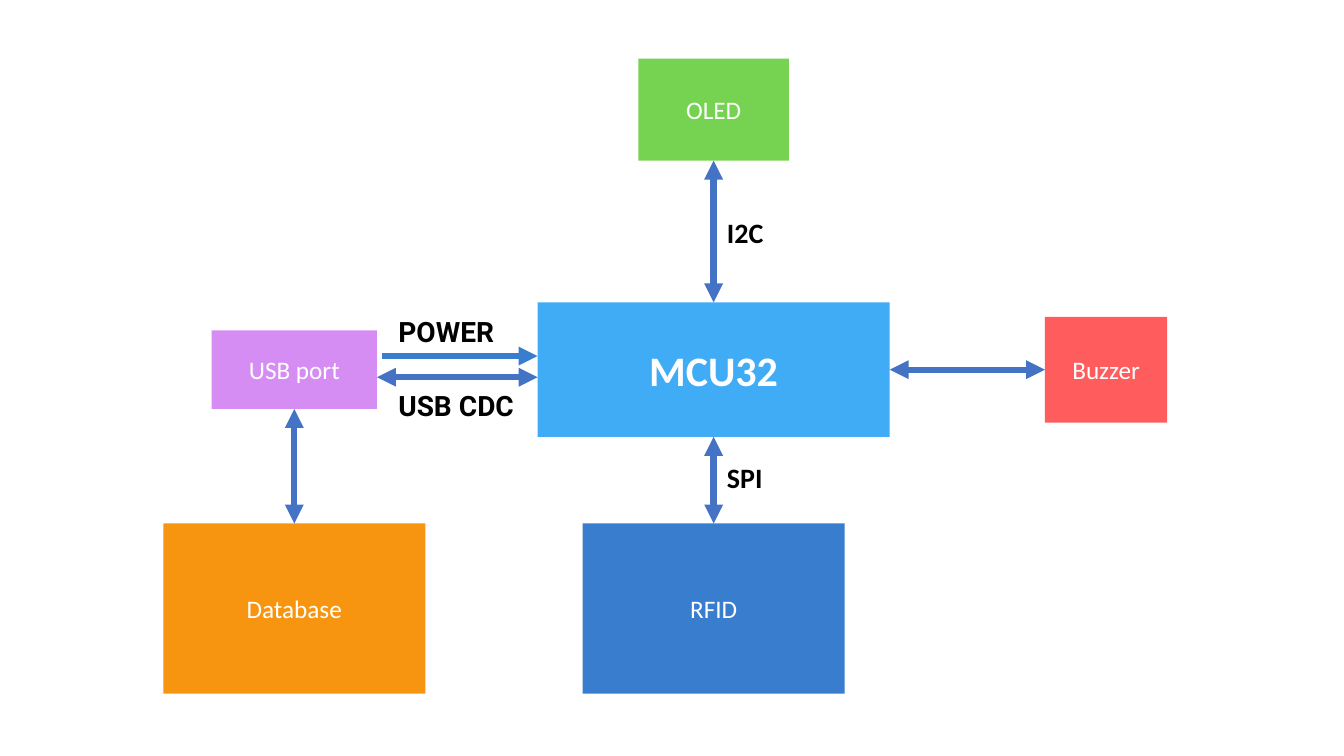
"""Draw a block diagram of a microcontroller and its peripherals."""
from dataclasses import dataclass

from lxml import etree
from pptx import Presentation
from pptx.dml.color import RGBColor
from pptx.enum.shapes import MSO_CONNECTOR, MSO_SHAPE
from pptx.enum.text import MSO_ANCHOR, MSO_AUTO_SIZE, PP_ALIGN
from pptx.oxml.ns import qn
from pptx.shapes.autoshape import Shape
from pptx.shapes.connector import Connector
from pptx.slide import Slide
from pptx.text.text import TextFrame
from pptx.util import Inches, Pt

RECTANGLE = MSO_SHAPE.RECTANGLE
STRAIGHT = MSO_CONNECTOR.STRAIGHT
MIDDLE = MSO_ANCHOR.MIDDLE
GROW = MSO_AUTO_SIZE.SHAPE_TO_FIT_TEXT
CENTER, LEFT_ALIGN = PP_ALIGN.CENTER, PP_ALIGN.LEFT
TOP, LEFT, BOTTOM, RIGHT = range(4)

SLIDE_WIDTH, SLIDE_HEIGHT = Inches(13.33), Inches(7.5)


@dataclass(frozen=True)
class Theme:
    """Colours, fonts and type sizes of the diagram."""

    controller: str = "40ACF6"
    port: str = "D68DF3"
    storage: str = "F89510"
    display: str = "76D351"
    reader: str = "397DCF"
    alarm: str = "FF5D5D"
    link: str = "4472C4"
    power: str = "397DCF"
    block_text: str = "FFFFFF"
    label_text: str = "000000"
    main_font: str = "Calibri"
    usb_font: str = "Roboto"
    title_size: float = 30
    block_size: float = 18
    label_size: float = 20
    link_width: float = 4.5


@dataclass(frozen=True)
class Block:
    """A box centred on a column and row, in percent of the slide."""

    text: str
    column: float
    row: float
    width: float
    height: float
    fill: str
    size: float
    bold: bool = False


@dataclass(frozen=True)
class Joint:
    """A two-way link between the side middles of two blocks."""

    start: str
    start_side: int
    end: str
    end_side: int


@dataclass(frozen=True)
class Lane:
    """A level arrow that meets the blocks off their side middles."""

    left: float
    right: float
    row: float
    color: str
    two_way: bool


@dataclass(frozen=True)
class Label:
    """A link's caption, placed by its top left corner."""

    text: str
    left: float
    top: float
    width: float
    font: str


THEME = Theme()
HOST_COLUMN, MAIN_COLUMN, ALARM_COLUMN = 21.9, 53.1, 82.3
DISPLAY_ROW, MAIN_ROW, BASE_ROW = 14.5, 48.9, 80.5
BASE_WIDTH, BASE_HEIGHT = 19.5, 22.5
PORT_WIDTH, CONTROLLER_WIDTH = 12.3, 26.2
PORT_EDGE = HOST_COLUMN + PORT_WIDTH / 2
CONTROLLER_EDGE = MAIN_COLUMN - CONTROLLER_WIDTH / 2
SPINE_LABEL, USB_LABEL = 53.35, 28.9
LABEL_HEIGHT = 5.9

BLOCKS = [
    Block("MCU32", MAIN_COLUMN, MAIN_ROW, CONTROLLER_WIDTH, 17.8, THEME.controller, THEME.title_size, True),
    Block("USB port", HOST_COLUMN, MAIN_ROW, PORT_WIDTH, 10.4, THEME.port, THEME.block_size),
    Block("Database", HOST_COLUMN, BASE_ROW, BASE_WIDTH, BASE_HEIGHT, THEME.storage, THEME.block_size),
    Block("OLED", MAIN_COLUMN, DISPLAY_ROW, 11.2, 13.5, THEME.display, THEME.block_size),
    Block("RFID", MAIN_COLUMN, BASE_ROW, BASE_WIDTH, BASE_HEIGHT, THEME.reader, THEME.block_size),
    Block("Buzzer", ALARM_COLUMN, MAIN_ROW, 9.1, 14, THEME.alarm, THEME.block_size),
]
JOINTS = [
    Joint("USB port", BOTTOM, "Database", TOP),
    Joint("MCU32", BOTTOM, "RFID", TOP),
    Joint("MCU32", RIGHT, "Buzzer", LEFT),
    Joint("OLED", BOTTOM, "MCU32", TOP),
]
LANES = [
    Lane(PORT_EDGE, CONTROLLER_EDGE, 49.9, THEME.link, True),
    Lane(28.4, CONTROLLER_EDGE, 47.1, THEME.power, False),
]
LABELS = [
    Label("SPI", SPINE_LABEL, 60.3, 6.3, THEME.main_font),
    Label("USB CDC", USB_LABEL, 50.7, 12.3, THEME.usb_font),
    Label("I2C", SPINE_LABEL, 27.9, 6.3, THEME.main_font),
    Label("POWER", USB_LABEL, 40.9, 12.3, THEME.usb_font),
]


def across(percent: float) -> int:
    """Turn a share of the slide's width into a length."""
    return round(SLIDE_WIDTH * percent / 100)


def down(percent: float) -> int:
    """Turn a share of the slide's height into a length."""
    return round(SLIDE_HEIGHT * percent / 100)


def write(frame: TextFrame, text: str, align: PP_ALIGN, color: str, formats: dict) -> None:
    """Put one formatted line of text into a frame."""
    frame.word_wrap = True
    line = frame.paragraphs[0]
    line.alignment = align
    words = line.add_run()
    words.text = text
    words.font.color.rgb = RGBColor.from_string(color)
    for attribute, value in formats.items():
        setattr(words.font, attribute, value)


def draw_block(slide: Slide, block: Block) -> Shape:
    """Draw a filled box with centred text."""
    box = slide.shapes.add_shape(
        RECTANGLE,
        across(block.column - block.width / 2), down(block.row - block.height / 2),
        across(block.width), down(block.height),
    )
    box.shadow.inherit = False
    box.fill.solid()
    box.fill.fore_color.rgb = RGBColor.from_string(block.fill)
    box.line.fill.background()
    box.text_frame.vertical_anchor = MIDDLE
    formats = {"name": THEME.main_font, "size": Pt(block.size), "bold": block.bold}
    write(box.text_frame, block.text, CENTER, THEME.block_text, formats)
    return box


def style_arrow(arrow: Connector, color: str, two_way: bool) -> None:
    """Give a connector its colour, width and arrowheads."""
    arrow.line.color.rgb = RGBColor.from_string(color)
    arrow.line.width = Pt(THEME.link_width)
    outline = arrow.line._get_or_add_ln()
    for end in ("a:headEnd", "a:tailEnd") if two_way else ("a:tailEnd",):
        etree.SubElement(outline, qn(end), type="triangle")
    etree.SubElement(arrow._element.spPr, qn("a:effectLst"))


def draw_joint(slide: Slide, joint: Joint, boxes: dict[str, Shape]) -> None:
    """Join two boxes by a two-way arrow."""
    arrow = slide.shapes.add_connector(STRAIGHT, 0, 0, 0, 0)
    arrow.begin_connect(boxes[joint.start], joint.start_side)
    arrow.end_connect(boxes[joint.end], joint.end_side)
    style_arrow(arrow, THEME.link, True)


def draw_lane(slide: Slide, lane: Lane) -> None:
    """Draw a level arrow between the port and the controller."""
    height = down(lane.row)
    arrow = slide.shapes.add_connector(STRAIGHT, across(lane.left), height, across(lane.right), height)
    style_arrow(arrow, lane.color, lane.two_way)


def draw_label(slide: Slide, label: Label) -> None:
    """Write a link's caption."""
    caption = slide.shapes.add_textbox(
        across(label.left), down(label.top), across(label.width), down(LABEL_HEIGHT)
    )
    caption.text_frame.auto_size = GROW
    formats = {"name": label.font, "size": Pt(THEME.label_size), "bold": True}
    write(caption.text_frame, label.text, LEFT_ALIGN, THEME.label_text, formats)


def main() -> None:
    """Build and save the slide."""
    deck = Presentation()
    deck.slide_width, deck.slide_height = SLIDE_WIDTH, SLIDE_HEIGHT
    slide = deck.slides.add_slide(deck.slide_layouts[6])
    boxes = {block.text: draw_block(slide, block) for block in BLOCKS}
    for joint in JOINTS:
        draw_joint(slide, joint, boxes)
    for lane in LANES:
        draw_lane(slide, lane)
    for label in LABELS:
        draw_label(slide, label)
    deck.save("out.pptx")


if __name__ == "__main__":
    main()
